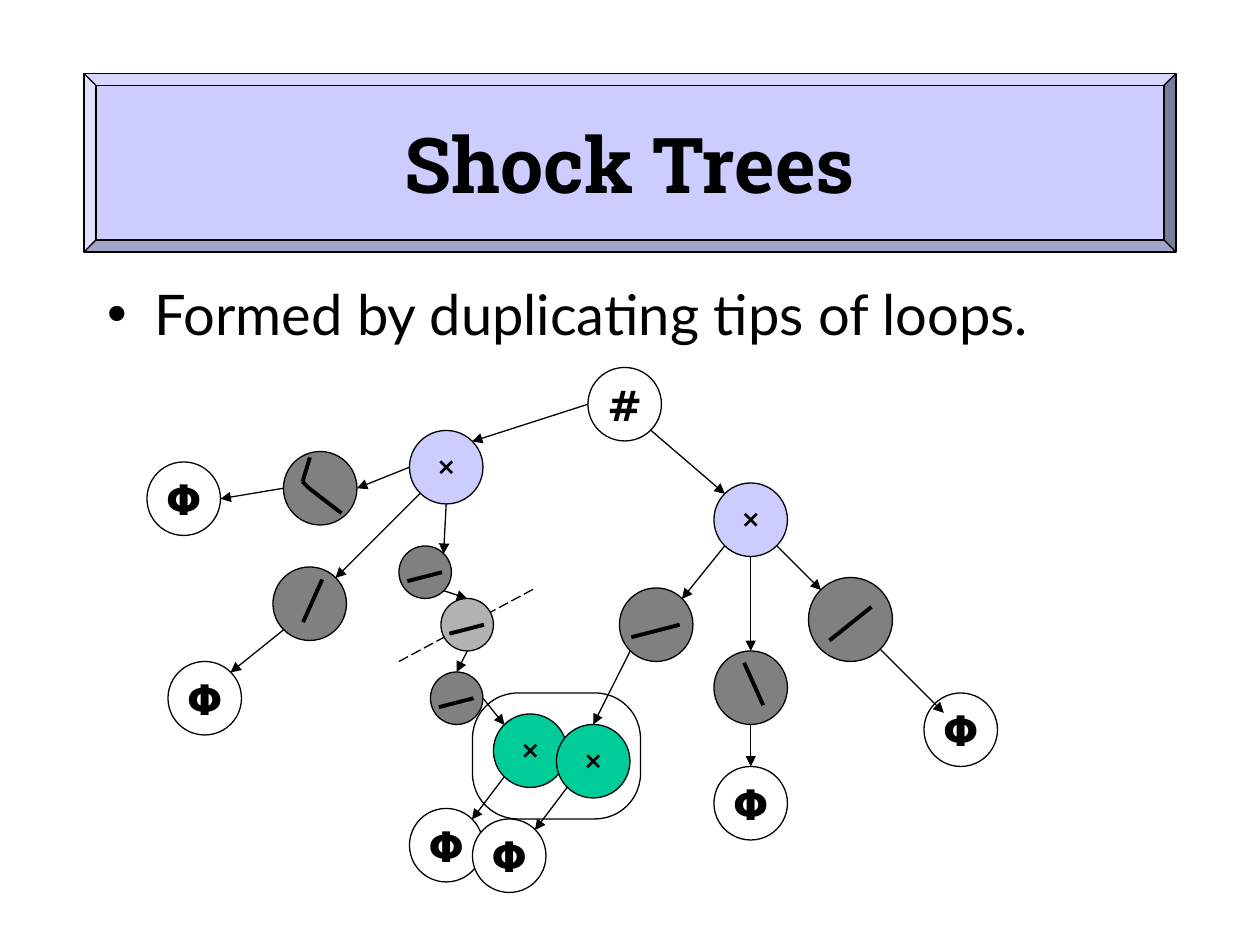
import pptx
import pptx.util
from lxml import etree
from pptx.dml.color import RGBColor
from pptx.enum.dml import MSO_LINE
from pptx.enum.shapes import MSO_CONNECTOR, MSO_SHAPE
from pptx.enum.text import MSO_ANCHOR, PP_ALIGN
from pptx.oxml.ns import qn
from pptx.util import Cm, Pt

GRID = 2.54 / 12  # cm in one grid step, twelve steps to the inch

TITLE = "Shock Trees"
BULLET = "Formed by duplicating tips of loops."
BOXES = {"bevel": (8, 7, 104, 17), "title": (9, 8, 102, 15),
         "body": (9, 26, 102, 54), "merged": (45, 66, 16, 12)}
CUT_LINE = ((38, 63), (51, 56))

FONTS = {
    "title": {"name": "Roboto Slab", "size": Pt(44), "bold": True},
    "body": {"name": "Lato", "size": Pt(32), "bold": False},
    "label": {"name": "DejaVu Sans", "size": Pt(24), "bold": True},
}
FILLS = {"leaf": "FFFFFF", "branch": "CCCCFF", "shock": "808080",
         "cut": "B2B2B2", "tip": "00CC99"}

# Strokes inside a node, as fractions of its size
FLAT = [((0.82, 0.5), (0.16, 0.67))]
STEEP = [((0.41, 0.75), (0.67, 0.17))]
RISING = [((0.75, 0.35), (0.25, 0.75))]
FALLING = [((0.67, 0.74), (0.41, 0.16))]
BENT = [((0.79, 0.84), (0.36, 0.51)), ((0.36, 0.51), (0.26, 0.41)),
        ((0.26, 0.41), (0.36, 0.08))]
CROSS = [((0.42, 0.42), (0.58, 0.58)), ((0.42, 0.58), (0.58, 0.42))]

# name: (left, top, size, kind, label or strokes)
NODES = {
    "root": (56, 35, 7, "leaf", "#"),
    "left": (39, 41, 7, "branch", CROSS),
    "right": (68, 46, 7, "branch", CROSS),
    "bent": (27, 43, 7, "shock", BENT),
    "steep": (26, 54, 7, "shock", STEEP),
    "loop": (38, 52, 5, "shock", FLAT),
    "loop cut": (42, 57, 5, "cut", FLAT),
    "loop end": (41, 64, 5, "shock", FLAT),
    "flat": (59, 56, 7, "shock", FLAT),
    "falling": (68, 62, 7, "shock", FALLING),
    "rising": (77, 55, 8, "shock", RISING),
    "tip 1": (47, 68, 7, "tip", CROSS),
    "tip 2": (53, 69, 7, "tip", CROSS),
    "bent leaf": (14, 44, 7, "leaf", "Φ"),
    "steep leaf": (16, 63, 7, "leaf", "Φ"),
    "tip 1 leaf": (39, 77, 7, "leaf", "Φ"),
    "tip 2 leaf": (45, 78, 7, "leaf", "Φ"),
    "falling leaf": (68, 73, 7, "leaf", "Φ"),
    "rising leaf": (88, 66, 7, "leaf", "Φ"),
}

# Points on a node's outline, as fractions of its size
SITES = {"n": (0.5, 0), "s": (0.5, 1), "w": (0, 0.5), "e": (1, 0.5),
         "nw": (0.15, 0.15), "ne": (0.85, 0.15),
         "sw": (0.15, 0.85), "se": (0.85, 0.85), "inner nw": (0.27, 0.27)}
EDGES = [
    ("root", "w", "left", "ne"), ("root", "se", "right", "nw"),
    ("left", "w", "bent", "e"), ("bent", "w", "bent leaf", "e"),
    ("left", "sw", "steep", "ne"), ("steep", "sw", "steep leaf", "ne"),
    ("left", "s", "loop", "ne"), ("loop", "se", "loop cut", "n"),
    ("loop cut", "s", "loop end", "n"), ("loop end", "e", "tip 1", "nw"),
    ("tip 1", "sw", "tip 1 leaf", "ne"), ("tip 2", "sw", "tip 2 leaf", "ne"),
    ("right", "sw", "flat", "ne"), ("flat", "sw", "tip 2", "n"),
    ("right", "s", "falling", "n"), ("falling", "s", "falling leaf", "n"),
    ("right", "se", "rising", "nw"),
    ("rising", "se", "rising leaf", "inner nw"),
]


def grid(*steps):
    return [Cm(v * GRID) for v in steps]


def rgb(value):
    return RGBColor.from_string(value)


def point(name, fraction):
    """Grid position of a fractional point within a node."""
    left, top, size = NODES[name][:3]
    return left + fraction[0] * size, top + fraction[1] * size


def write(tf, text, font, align):
    p = tf.paragraphs[0]
    p.alignment = align
    r = p.add_run()
    r.text = text
    for key, value in FONTS[font].items():
        setattr(r.font, key, value)
    r.font.color.rgb = rgb("000000")
    return p


def add_outline(s, kind, box, fill=None):
    sp = s.shapes.add_shape(kind, *grid(*box))
    sp.shadow.inherit = False
    if fill:
        sp.fill.solid()
        sp.fill.fore_color.rgb = rgb(fill)
    else:
        sp.fill.background()
    sp.line.color.rgb = rgb("000000")
    sp.line.width = Pt(0.75)
    return sp


def add_line(s, start, end, width=0.75, dash=None, arrow=False):
    c = s.shapes.add_connector(MSO_CONNECTOR.STRAIGHT, *grid(*start, *end))
    c.line.color.rgb = rgb("000000")
    c.line.width = Pt(width)
    if dash:
        c.line.dash_style = dash
    if arrow:
        etree.SubElement(c.line._get_or_add_ln(), qn("a:tailEnd"), type="triangle")
    etree.SubElement(c._element.spPr, qn("a:effectLst"))


def add_node(s, name):
    left, top, size, kind, mark = NODES[name]
    sp = add_outline(s, MSO_SHAPE.OVAL, (left, top, size, size), FILLS[kind])
    if isinstance(mark, str):
        sp.text_frame.word_wrap = False
        sp.text_frame.vertical_anchor = MSO_ANCHOR.MIDDLE
        write(sp.text_frame, mark, "label", PP_ALIGN.CENTER)
        return
    width = 1.5 if mark is CROSS else 2.25
    for start, end in mark:
        add_line(s, point(name, start), point(name, end), width)


def place(sp, box):
    sp.left, sp.top, sp.width, sp.height = grid(*box)


def main():
    prs = pptx.Presentation()
    prs.slide_width, prs.slide_height = Cm(25.4), Cm(19.05)
    s = prs.slides.add_slide(prs.slide_layouts[1])

    title, body = s.placeholders
    place(title, BOXES["title"])
    title.text_frame.vertical_anchor = MSO_ANCHOR.MIDDLE
    write(title.text_frame, TITLE, "title", PP_ALIGN.CENTER)
    place(body, BOXES["body"])
    write(body.text_frame, BULLET, "body", PP_ALIGN.LEFT).space_before = Pt(8)

    bevel = add_outline(s, MSO_SHAPE.BEVEL, BOXES["bevel"], "CCCCFF")
    bevel.adjustments[0] = 0.067
    title._element.addprevious(bevel._element)

    add_line(s, *CUT_LINE, dash=MSO_LINE.LONG_DASH)
    for name in NODES:
        add_node(s, name)
    for parent, out, child, into in EDGES:
        add_line(s, point(parent, SITES[out]), point(child, SITES[into]), arrow=True)
    merged = add_outline(s, MSO_SHAPE.ROUNDED_RECTANGLE, BOXES["merged"])
    merged.adjustments[0] = 0.36
    prs.save("out.pptx")


if __name__ == "__main__":
    main()
